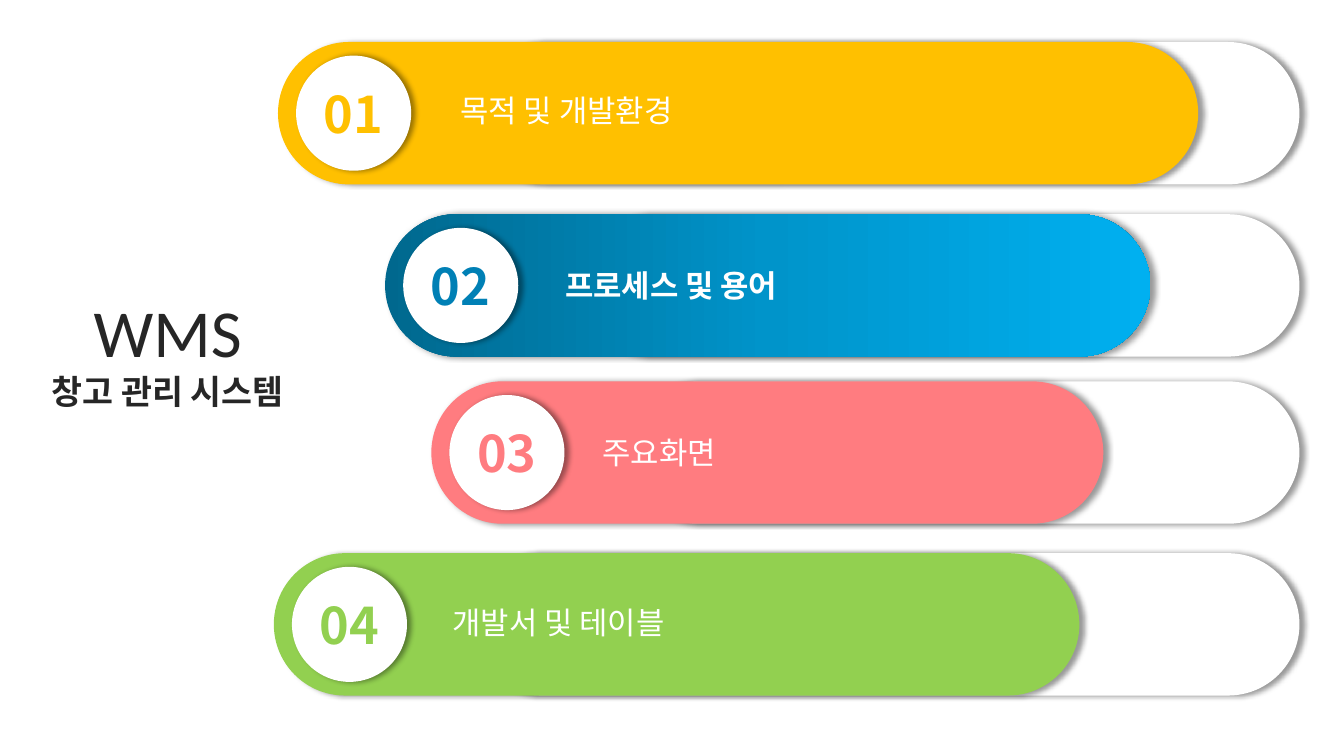
import pptx
import pptx.dml.color
import pptx.enum.shapes
import pptx.enum.text
import pptx.oxml
import pptx.oxml.ns
import pptx.util
from lxml import etree

COLUMNS, ROWS = 160, 90
CELL = pptx.util.Inches(13.33) / COLUMNS
KOREAN = "Noto Sans CJK KR"
WHITE, DARK = "FFFFFF", "262626"
ALIGN = pptx.enum.text.PP_ALIGN
SHAPE = pptx.enum.shapes.MSO_SHAPE

BAR_HEIGHT = 16.95
TRACK_INDENT, TRACK_END = 23.25, 154.7
BADGE_SIZE, BADGE_INDENT = 13.7, 2.15
LABEL_SIZE = (54.1, 5.65)
BLUE_STOPS = [(0, "00688E"), (50, "0094CA"), (100, "00B0F0")]

# number, label, bar (left, top, width), label (left, top), fill, number colour, bold label
SECTIONS = [
    ("01", "목적 및 개발환경", (33.1, 5, 109.55), (53.65, 10.35), "FFC000", "FFC000", False),
    ("02", "프로세스 및 용어", (45.85, 25.5, 91.1), (66.1, 31.2), BLUE_STOPS, "0080B5", True),
    ("03", "주요화면", (51.35, 45.4, 80), (70.55, 51), "FF7C80", "FF7C80", False),
    ("04", "개발서 및 테이블", (32.6, 65.85, 95.9), (52.7, 71.3), "92D050", "92D050", False),
]


def color(hex_string):
    return pptx.dml.color.RGBColor.from_string(hex_string)


def cells(*counts):
    """Turn counts of grid cells into lengths."""
    return [pptx.util.Emu(round(count * CELL)) for count in counts]


def add_shadow(shape):
    shape.shadow.inherit = False
    effects = shape._element.spPr.find(pptx.oxml.ns.qn("a:effectLst"))
    effects.append(pptx.oxml.parse_xml(
        f'<a:outerShdw {pptx.oxml.ns.nsdecls("a")} blurRad="50800" dist="38100" dir="0" '
        'algn="l" rotWithShape="0"><a:srgbClr val="000000"><a:alpha val="40000"/>'
        '</a:srgbClr></a:outerShdw>'))


def fill_gradient(shape, stops):
    """Fill from left to right through (percent, colour) stops."""
    shape.fill.gradient()
    shape.fill.gradient_angle = 0
    stop_list = shape._element.spPr.find(".//" + pptx.oxml.ns.qn("a:gsLst"))
    for stop in list(stop_list):
        stop_list.remove(stop)
    for percent, hex_string in stops:
        stop = etree.SubElement(stop_list, pptx.oxml.ns.qn("a:gs"), pos=str(percent * 1000))
        etree.SubElement(stop, pptx.oxml.ns.qn("a:srgbClr"), val=hex_string)


def add_raised(page, kind, place, fill):
    """Add a shape without an outline that casts a shadow."""
    shape = page.shapes.add_shape(kind, *cells(*place))
    if isinstance(fill, str):
        shape.fill.solid()
        shape.fill.fore_color.rgb = color(fill)
    else:
        fill_gradient(shape, fill)
    shape.line.fill.background()
    add_shadow(shape)
    return shape


def add_pill(page, place, fill):
    pill = add_raised(page, SHAPE.ROUNDED_RECTANGLE, place, fill)
    pill.adjustments[0] = 0.5


def format_para(para, size, hex_string, align, font=KOREAN, bold=False):
    para.alignment = align
    for span in para.runs:
        span.font.size = pptx.util.Pt(size)
        span.font.name = font
        span.font.bold = bold
        span.font.color.rgb = color(hex_string)
        etree.SubElement(span.font._element, pptx.oxml.ns.qn("a:ea"), typeface=KOREAN)


def add_badge(page, place, number, hex_string):
    badge = add_raised(page, SHAPE.OVAL, place, WHITE)
    frame = badge.text_frame
    frame.margin_left = frame.margin_right = 0
    frame.vertical_anchor = pptx.enum.text.MSO_ANCHOR.MIDDLE
    frame.text = number
    format_para(frame.paragraphs[0], 36, hex_string, ALIGN.CENTER, bold=True)


def add_text(page, place, text):
    box = page.shapes.add_textbox(*cells(*place))
    frame = box.text_frame
    frame.word_wrap = True
    frame.auto_size = pptx.enum.text.MSO_AUTO_SIZE.SHAPE_TO_FIT_TEXT
    frame.text = text
    return frame.paragraphs


def add_section(page, number, label, bar, label_corner, fill, number_color, bold):
    left, top, width = bar
    track_left = left + TRACK_INDENT
    add_pill(page, (track_left, top, TRACK_END - track_left, BAR_HEIGHT), WHITE)
    add_pill(page, (left, top, width, BAR_HEIGHT), fill)
    badge_top = top + (BAR_HEIGHT - BADGE_SIZE) / 2
    add_badge(page, (left + BADGE_INDENT, badge_top, BADGE_SIZE, BADGE_SIZE),
              number, number_color)
    para, = add_text(page, (*label_corner, *LABEL_SIZE), label)
    format_para(para, 22, WHITE, ALIGN.JUSTIFY, bold=bold)


def add_title(page):
    name, meaning = add_text(page, (0.6, 34, 38.75, 15.7), "WMS\n창고 관리 시스템")
    format_para(name, 48, DARK, ALIGN.CENTER, font="Calibri")
    format_para(meaning, 24, DARK, ALIGN.CENTER, bold=True)
    # A hanging indent moves the centred name a little to the left.
    properties = name._p.get_or_add_pPr()
    properties.set("marL", "0")
    properties.set("indent", str(-pptx.util.Inches(0.3)))


def main():
    deck = pptx.Presentation()
    deck.slide_width, deck.slide_height = cells(COLUMNS, ROWS)
    page = deck.slides.add_slide(deck.slide_layouts[6])
    for section in SECTIONS:
        add_section(page, *section)
    add_title(page)
    deck.save("out.pptx")


if __name__ == "__main__":
    main()
